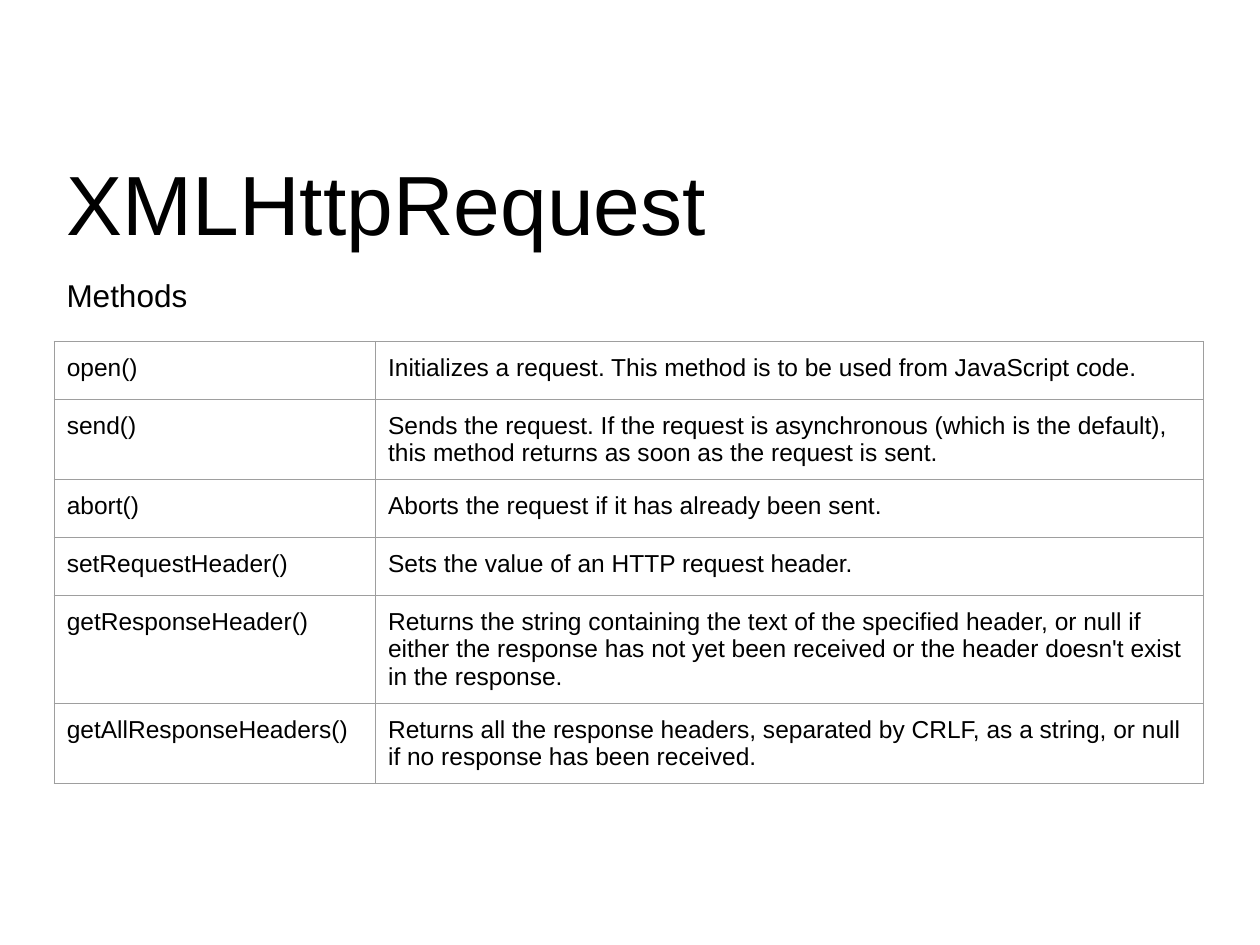
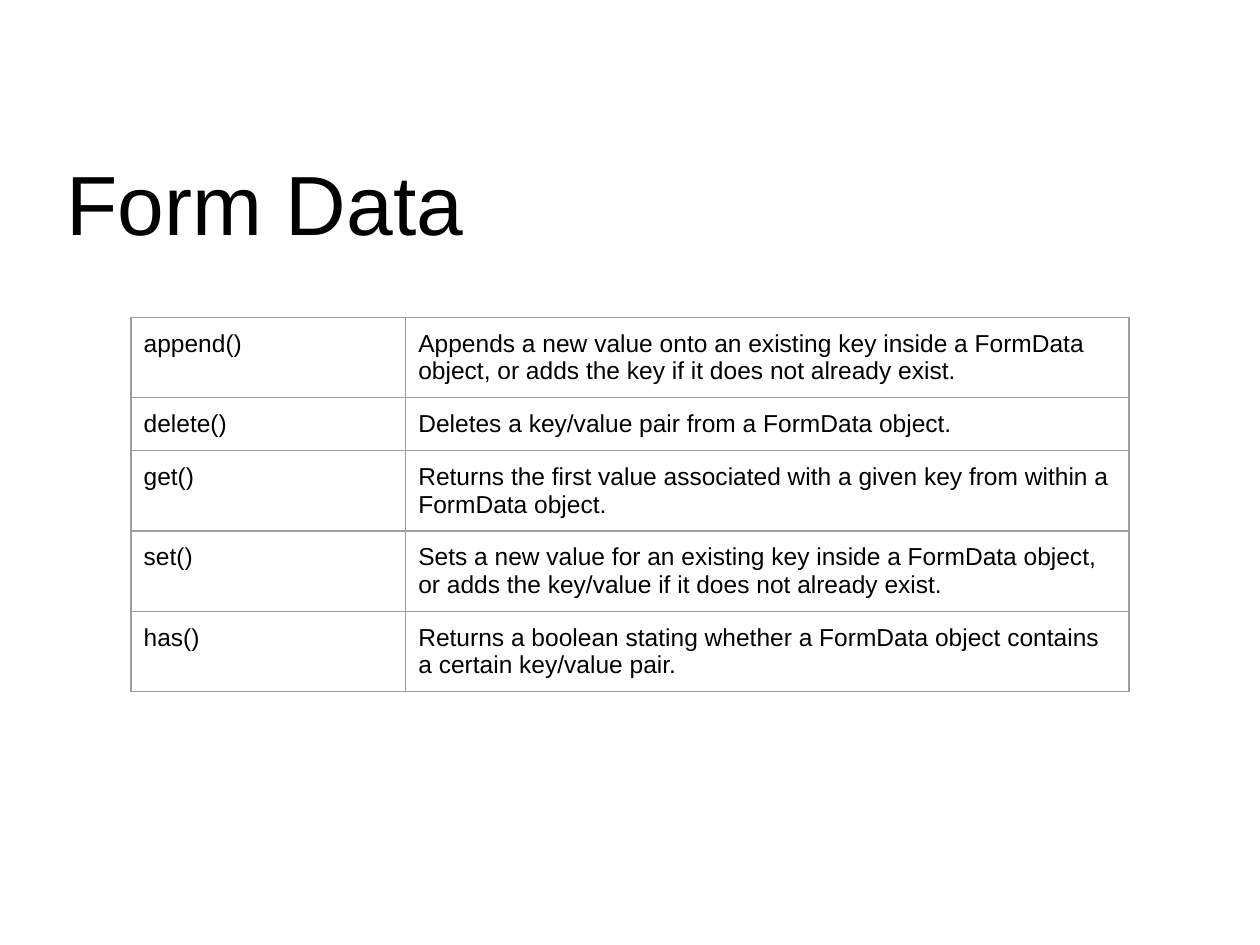
from lxml import etree
from pptx import Presentation
from pptx.dml.color import RGBColor
from pptx.enum import text as t
from pptx.oxml.ns import qn
from pptx.util import Inches, Pt

BLACK = RGBColor(0x00, 0x00, 0x00)
WHITE = RGBColor(0xFF, 0xFF, 0xFF)
RULE_GREY = RGBColor(0x9E, 0x9E, 0x9E)
FONT = "Arial"
LEFT = 0.43
PADDING = Inches(0.1)
TITLE_LAYOUT = 5

REQUEST_METHODS = [
    ("open()", "Initializes a request. This method is to be used from JavaScript code."),
    ("send()", "Sends the request. If the request is asynchronous (which is the default), "
               "this method returns as soon as the request is sent."),
    ("abort()", "Aborts the request if it has already been sent."),
    ("setRequestHeader()", "Sets the value of an HTTP request header."),
    ("getResponseHeader()", "Returns the string containing the text of the specified header, "
                            "or null if either the response has not yet been received or "
                            "the header doesn't exist in the response."),
    ("getAllResponseHeaders()", "Returns all the response headers, separated by CRLF, "
                                "as a string, or null if no response has been received."),
]
FORM_DATA_METHODS = [
    ("append()", "Appends a new value onto an existing key inside a FormData object, "
                 "or adds the key if it does not already exist."),
    ("delete()", "Deletes a key/value pair from a FormData object."),
    ("get()", "Returns the first value associated with a given key from within "
              "a FormData object."),
    ("set()", "Sets a new value for an existing key inside a FormData object, "
              "or adds the key/value if it does not already exist."),
    ("has()", "Returns a boolean stating whether a FormData object contains "
              "a certain key/value pair."),
]


def set_all(target, values):
    for name, value in values.items():
        setattr(target, name, value)


def write(frame, wording, size):
    frame.text = wording
    paragraph = frame.paragraphs[0]
    paragraph.alignment = t.PP_ALIGN.LEFT
    set_all(paragraph.font, {"name": FONT, "size": Pt(size), "bold": False})
    paragraph.font.color.rgb = BLACK


def format_frame(frame, top_margin):
    set_all(frame, {
        "word_wrap": True, "auto_size": t.MSO_AUTO_SIZE.NONE,
        "vertical_anchor": t.MSO_ANCHOR.TOP,
        "margin_left": PADDING, "margin_right": PADDING,
        "margin_top": Inches(top_margin), "margin_bottom": PADDING,
    })


def add_titled_slide(prs, wording, title_height):
    slide = prs.slides.add_slide(prs.slide_layouts[TITLE_LAYOUT])
    title = slide.shapes.title
    set_all(title, {"left": Inches(LEFT), "top": Inches(1.02),
                    "width": Inches(9.29), "height": Inches(title_height)})
    format_frame(title.text_frame, 0.18)
    write(title.text_frame, wording, 48)
    return slide


def add_subtitle(slide, wording):
    subtitle = slide.shapes.add_textbox(
        Inches(LEFT), Inches(2.06), Inches(9.15), Inches(0.48))
    format_frame(subtitle.text_frame, 0.13)
    write(subtitle.text_frame, wording, 18)


def add_borders(cell):
    properties = cell._tc.get_or_add_tcPr()
    for side in ("lnL", "lnR", "lnT", "lnB"):
        line = etree.SubElement(properties, qn(f"a:{side}"), w=str(Pt(0.75)))
        fill = etree.SubElement(line, qn("a:solidFill"))
        etree.SubElement(fill, qn("a:srgbClr"), val=str(RULE_GREY))


def add_method_table(slide, methods, left, top, column_widths, row_height):
    table = slide.shapes.add_table(
        len(methods), len(column_widths), Inches(left), Inches(top),
        Inches(sum(column_widths)), Inches(row_height * len(methods))).table
    set_all(table, {"first_row": False, "horz_banding": False})
    for column, width in zip(table.columns, column_widths):
        column.width = Inches(width)
    for row, method in zip(table.rows, methods):
        row.height = Inches(row_height)
        for cell, wording in zip(row.cells, method):
            set_all(cell, {"margin_left": PADDING, "margin_right": PADDING,
                           "margin_top": PADDING, "margin_bottom": PADDING})
            add_borders(cell)
            cell.fill.solid()
            cell.fill.fore_color.rgb = WHITE
            write(cell.text_frame, wording, 14)


def main():
    prs = Presentation()
    set_all(prs, {"slide_width": Inches(10), "slide_height": Inches(7.5)})

    request = add_titled_slide(prs, "XMLHttpRequest", 1.18)
    add_subtitle(request, "Methods")
    add_method_table(request, REQUEST_METHODS, LEFT, 2.71, (2.55, 6.57), 0.46)

    form_data = add_titled_slide(prs, "Form Data", 0.94)
    add_method_table(form_data, FORM_DATA_METHODS, 1.04, 2.52, (2.18, 5.74), 0.42)

    prs.save("out.pptx")


if __name__ == "__main__":
    main()
